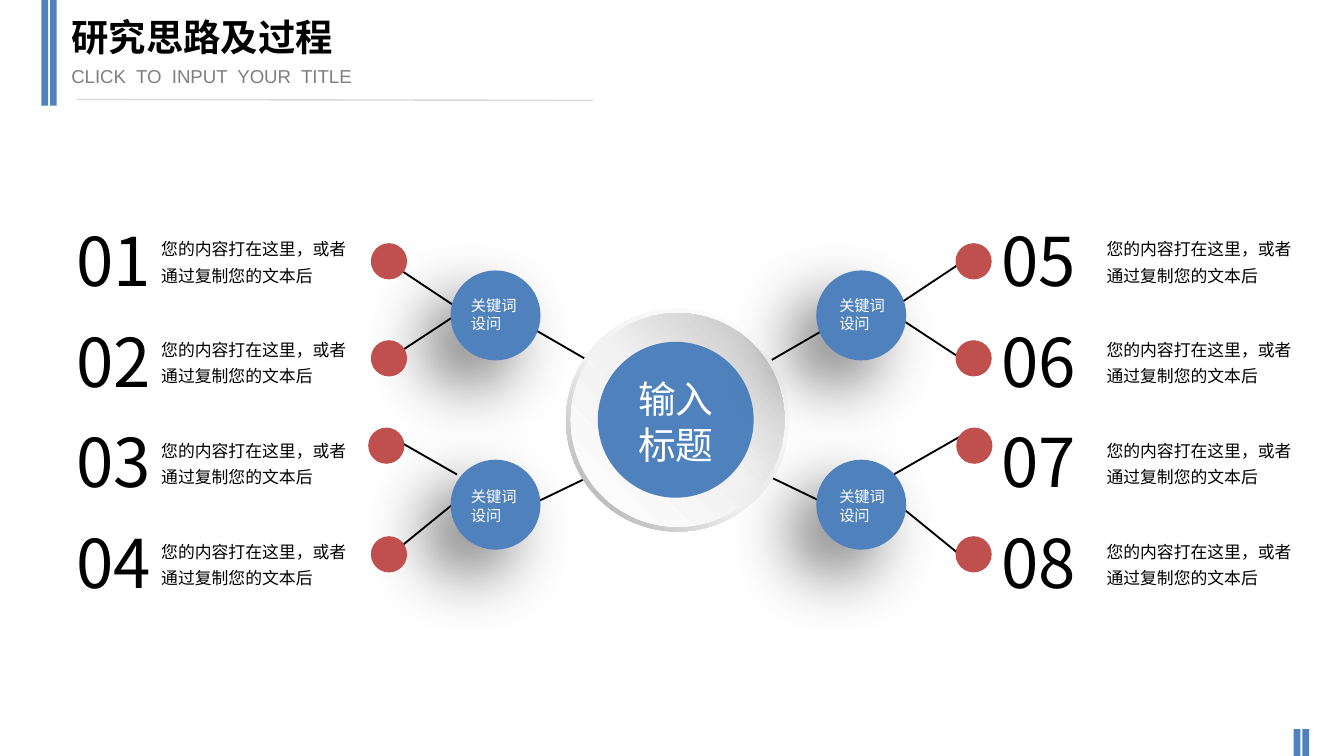
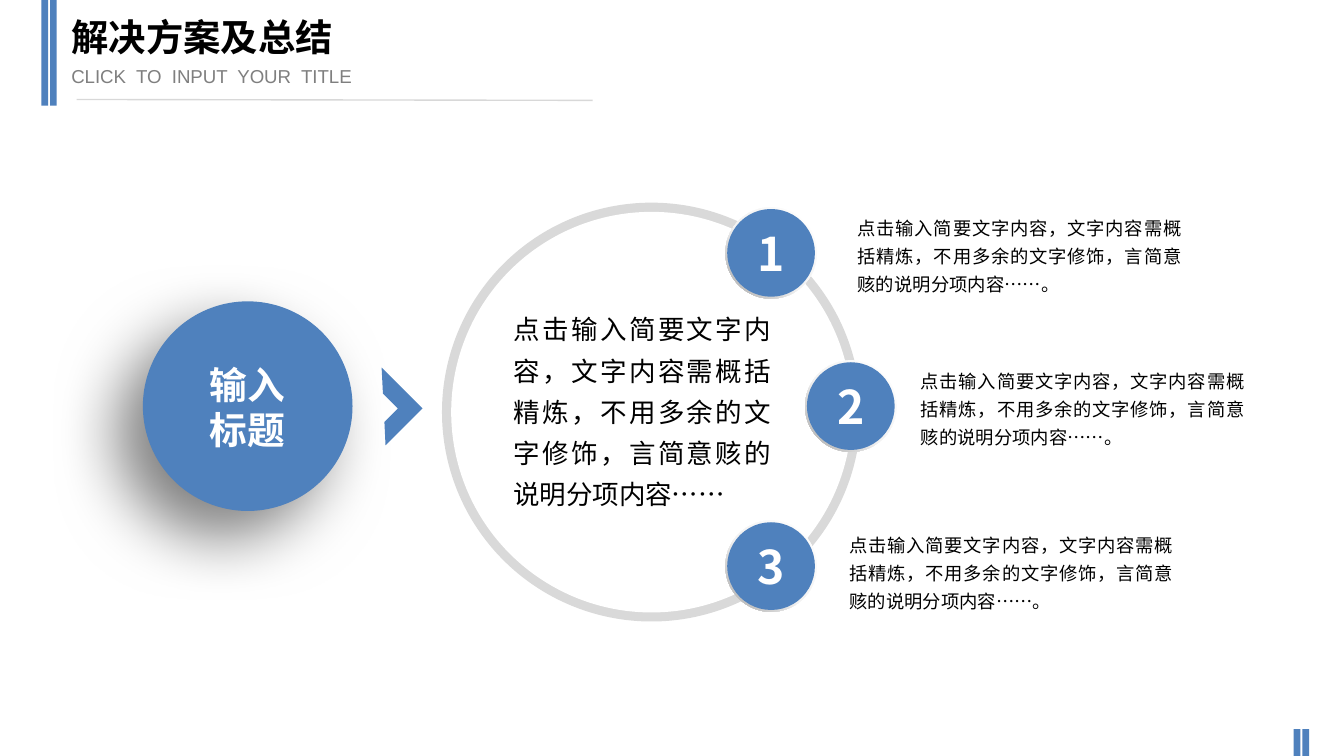
from lxml import etree
from pptx import Presentation
from pptx.dml.color import RGBColor
from pptx.enum.shapes import MSO_CONNECTOR, MSO_SHAPE
from pptx.enum.text import MSO_ANCHOR, MSO_AUTO_SIZE, PP_ALIGN
from pptx.oxml.ns import qn
from pptx.util import Pt

OVAL, DONUT, RECT = MSO_SHAPE.OVAL, MSO_SHAPE.DONUT, MSO_SHAPE.RECTANGLE
HALF_FRAME = MSO_SHAPE.HALF_FRAME
STRAIGHT = MSO_CONNECTOR.STRAIGHT
LEFT, CENTER, JUSTIFY = PP_ALIGN.LEFT, PP_ALIGN.CENTER, PP_ALIGN.JUSTIFY
TOP, MIDDLE = MSO_ANCHOR.TOP, MSO_ANCHOR.MIDDLE
NO_FIT, GROW = MSO_AUTO_SIZE.NONE, MSO_AUTO_SIZE.SHAPE_TO_FIT_TEXT

COLORS = {
    "blue": "4F81BD", "red": "C0504D", "black": "000000", "white": "FFFFFF",
    "subtitle": "7F7F7F", "rule": "D8D8D8", "ring": "D9D9D9",
    "pale": "F2F2F2", "silver": "BFBFBF", "steel": "A6A6A6",
}
TITLE_FONT, FONT = "Arial", "Noto Sans CJK SC"
RING_THICKNESS = 0.049

# Gradients: ((position %, colour), ...), angle
RIM = (((0, "white"), (55, "pale"), (100, "steel")), 135)
DISH = (((0, "white"), (51, "pale"), (100, "silver")), 315)

# Shared content
SUBTITLE = "CLICK  TO  INPUT  YOUR  TITLE"
BARS = [(22.2, 0, 3.6, 56.7), (26.8, 0, 3.6, 56.7),
        (693, 390.7, 3.6, 14.3), (697.7, 390.7, 3.6, 14.3)]
RULE = (41, 53.3, 317.5, 53.8)
CENTER_LABEL = ["输入", "标题"]

# Slide 1: mind map
PROCESS_TITLE = "研究思路及过程"
ITEM_TEXT = "您的内容打在这里，或者通过复制您的文本后"
HUB_LABEL = ["关键词", "设问"]
ROW_TOP, ROW_STEP, ROWS = 114.5, 54, 4
COLUMNS = [(34.2, 80.6), (530, 587)]  # number left, text left
HUB_XS, HUB_YS = (265.5, 461.4), (169, 270.4)
HUB_LABEL_XS, HUB_LABEL_YS = (246.5, 443.8), (155.8, 258.2)
DOTS = [(208.4, 140), (208.4, 192), (207, 238.8), (208.4, 297),
        (521.6, 140), (521.6, 192), (522, 238.8), (521.6, 297)]
# Left-hand lines; the right-hand ones mirror them (x -> total - x)
SPOKES = [(207.4, 193, 247, 167), (206.6, 139.4, 247.7, 166.7),
          (207.4, 298.8, 243.4, 269.5), (209.5, 234, 244.8, 254.2)]
LINKS = [(287.3, 177.1, 337, 205.8), (288.7, 268.4, 337.7, 244.8)]
LINE_GROUPS = [(SPOKES, 723.6), (LINKS, 728)]

# Slide 2: summary
SUMMARY_TITLE = "解决方案及总结"
SUMMARY_TEXT = "点击输入简要文字内容，文字内容需概括精炼，不用多余的文字修饰，言简意赅的说明分项内容……"
# number, badge centre, text corner
POINTS = [("1", (413.1, 135.5), (459.4, 113)),
          ("2", (455.8, 217.6), (493.2, 195.1)),
          ("3", (413.1, 303.3), (455, 283))]


def rgb(name):
    return RGBColor.from_string(COLORS[name])


def write(tf, lines, size, color="black", bold=False, align=LEFT, spacing=None,
          font=FONT, inset=(0, 0)):
    tf.margin_left = tf.margin_right = Pt(inset[0])
    tf.margin_top = tf.margin_bottom = Pt(inset[1])
    for i, line in enumerate(lines):
        p = tf.add_paragraph() if i else tf.paragraphs[0]
        p.alignment = align
        if spacing:
            p.line_spacing = spacing
        r = p.add_run()
        r.text = line
        r.font.size = Pt(size)
        r.font.bold = bold
        r.font.name = font
        r.font.color.rgb = rgb(color)
        if font == FONT:
            ea = etree.SubElement(r.font._element, qn("a:ea"))
            ea.set("typeface", font)


def add_text(s, box, lines, size, wrap=True, **style):
    tf = s.shapes.add_textbox(*map(Pt, box)).text_frame
    tf.word_wrap = wrap
    tf.auto_size = GROW
    write(tf, lines, size, **style)


def paint(shape, fill):
    """Fill with a colour name or a (stops, angle) gradient."""
    shape.shadow.inherit = False
    shape.line.fill.background()
    if isinstance(fill, str):
        shape.fill.solid()
        shape.fill.fore_color.rgb = rgb(fill)
        return
    stops, angle = fill
    shape.fill.gradient()
    shape.fill.gradient_angle = 360 - angle
    gs_list = shape.element.spPr.find(qn("a:gradFill")).find(qn("a:gsLst"))
    for gs in list(gs_list):
        gs_list.remove(gs)
    for position, color in stops:
        gs = etree.SubElement(gs_list, qn("a:gs"), pos=str(position * 1000))
        etree.SubElement(gs, qn("a:srgbClr"), val=COLORS[color])


def add_shape(shapes, kind, box, fill):
    shape = shapes.add_shape(kind, *map(Pt, box))
    paint(shape, fill)
    return shape


def add_round(shapes, kind, center, d, fill):
    x, y = center
    shape = add_shape(shapes, kind, (x - d / 2, y - d / 2, d, d), fill)
    if kind == DONUT:
        shape.adjustments[0] = RING_THICKNESS
    return shape


def add_ringed_disc(s, center, ring_d, ring_fill, disc_d, disc_fill):
    shapes = s.shapes.add_group_shape().shapes
    add_round(shapes, DONUT, center, ring_d, ring_fill)
    return add_round(shapes, OVAL, center, disc_d, disc_fill)


def cast_shadow(shape):
    effects = shape.element.spPr.find(qn("a:effectLst"))
    shadow = etree.SubElement(
        effects, qn("a:outerShdw"), blurRad=str(Pt(35)), dist=str(Pt(20)),
        dir=str(135 * 60000), algn="ctr", rotWithShape="0")
    color = etree.SubElement(shadow, qn("a:srgbClr"), val=COLORS["black"])
    etree.SubElement(color, qn("a:alpha"), val="50000")


def add_line(s, ends, color="black", width=1):
    line = s.shapes.add_connector(STRAIGHT, *map(Pt, ends))
    line.line.color.rgb = rgb(color)
    line.line.width = Pt(width)
    etree.SubElement(line.element.spPr, qn("a:effectLst"))
    return line


def decorate_layout(layout, s):
    """Move the bars and the rule, drawn on s, to the layout."""
    for ph in list(layout.placeholders):
        if ph.placeholder_format.idx >= 10:
            layout.shapes.element.remove(ph.element)
    parts = [add_shape(s.shapes, RECT, bar, "blue") for bar in BARS]
    parts.append(add_line(s, RULE, "rule", 0.75))
    for part in parts:
        layout.shapes.element.append(part.element)


def add_titled_slide(prs, layout, title):
    s = prs.slides.add_slide(layout)
    heads = [(s.shapes.title, (31, 3.8, 291, 36), title, 20, "black", True, NO_FIT),
             (s.placeholders[1], (31, 31, 227, 19.4), SUBTITLE, 10, "subtitle", False, GROW)]
    for ph, box, words, size, color, bold, fit in heads:
        ph.left, ph.top, ph.width, ph.height = map(Pt, box)
        tf = ph.text_frame
        tf.auto_size = fit
        tf.vertical_anchor = TOP
        write(tf, [words], size, color, bold, font=TITLE_FONT, inset=(7.2, 3.6))
        p = tf.paragraphs[0]
        p.space_before = Pt(size * 0.2)
        pPr = p._p.get_or_add_pPr()
        pPr.set("marL", "0")
        pPr.set("indent", "0")
        etree.SubElement(pPr, qn("a:buNone"))
    return s


def build_process(s):
    for lines, total in LINE_GROUPS:
        for x1, y1, x2, y2 in lines:
            add_line(s, (x1, y1, x2, y2))
            add_line(s, (total - x1, y1, total - x2, y2))

    add_ringed_disc(s, (363, 225), 119.5, RIM, 114.5, DISH)
    add_round(s.shapes, OVAL, (362, 224.9), 83.5, "blue")

    for x in HUB_XS:
        for y in HUB_YS:
            shapes = s.shapes.add_group_shape().shapes
            cast_shadow(add_round(shapes, OVAL, (x, y), 48.2, "blue"))
            add_round(shapes, OVAL, (x, y), 41, "blue")
    for dot in DOTS:
        add_ringed_disc(s, dot, 19.4, "red", 18.7, "red")

    inset = (5.8, 2.9)
    for column, (number_x, text_x) in enumerate(COLUMNS):
        for row in range(ROWS):
            y = ROW_TOP + row * ROW_STEP
            number = f"{column * ROWS + row + 1:02d}"
            add_text(s, (number_x, y, 53.3, 49), [number], 36, wrap=False,
                     align=CENTER, inset=inset)
            add_text(s, (text_x, y + 7.4, 113, 34), [ITEM_TEXT], 9,
                     spacing=1.3, inset=inset)

    add_text(s, (336, 198.7, 54, 54.7), CENTER_LABEL, 20.2, wrap=False,
             color="white", inset=inset)
    for x in HUB_LABEL_XS:
        for y in HUB_LABEL_YS:
            add_text(s, (x, y, 38, 25.2), HUB_LABEL, 8.2, wrap=False,
                     color="white", inset=inset)


def build_summary(s):
    cast_shadow(add_round(s.shapes, OVAL, (132.7, 217.6), 112.3, "blue"))
    add_ringed_disc(s, (349, 220.8), 224.4, "ring", 214.6, "white")
    for number, center, (x, y) in POINTS:
        badge = add_ringed_disc(s, center, 49, RIM, 47, "blue")
        badge.text_frame.vertical_anchor = MIDDLE
        write(badge.text_frame, [number], 24.8, "white", True, CENTER)
        add_text(s, (x, y, 173.5, 45.4), [SUMMARY_TEXT + "。"], 9.8,
                 align=JUSTIFY, spacing=Pt(15))
    add_text(s, (111, 193.7, 43, 49), CENTER_LABEL, 20.2, wrap=False,
             color="white", bold=True, align=CENTER)
    add_text(s, (275, 162.7, 138.2, 112.3), [SUMMARY_TEXT], 14.2,
             align=JUSTIFY, spacing=1.3)
    arrow = add_shape(s.shapes, HALF_FRAME, (191.5, 202.3, 28, 31), "blue")
    arrow.rotation = 135


def main():
    prs = Presentation()
    prs.slide_width, prs.slide_height = Pt(720), Pt(405)
    layout = prs.slide_layouts[1]
    process = add_titled_slide(prs, layout, PROCESS_TITLE)
    decorate_layout(layout, process)
    build_process(process)
    build_summary(add_titled_slide(prs, layout, SUMMARY_TITLE))
    prs.save("out.pptx")


if __name__ == "__main__":
    main()
